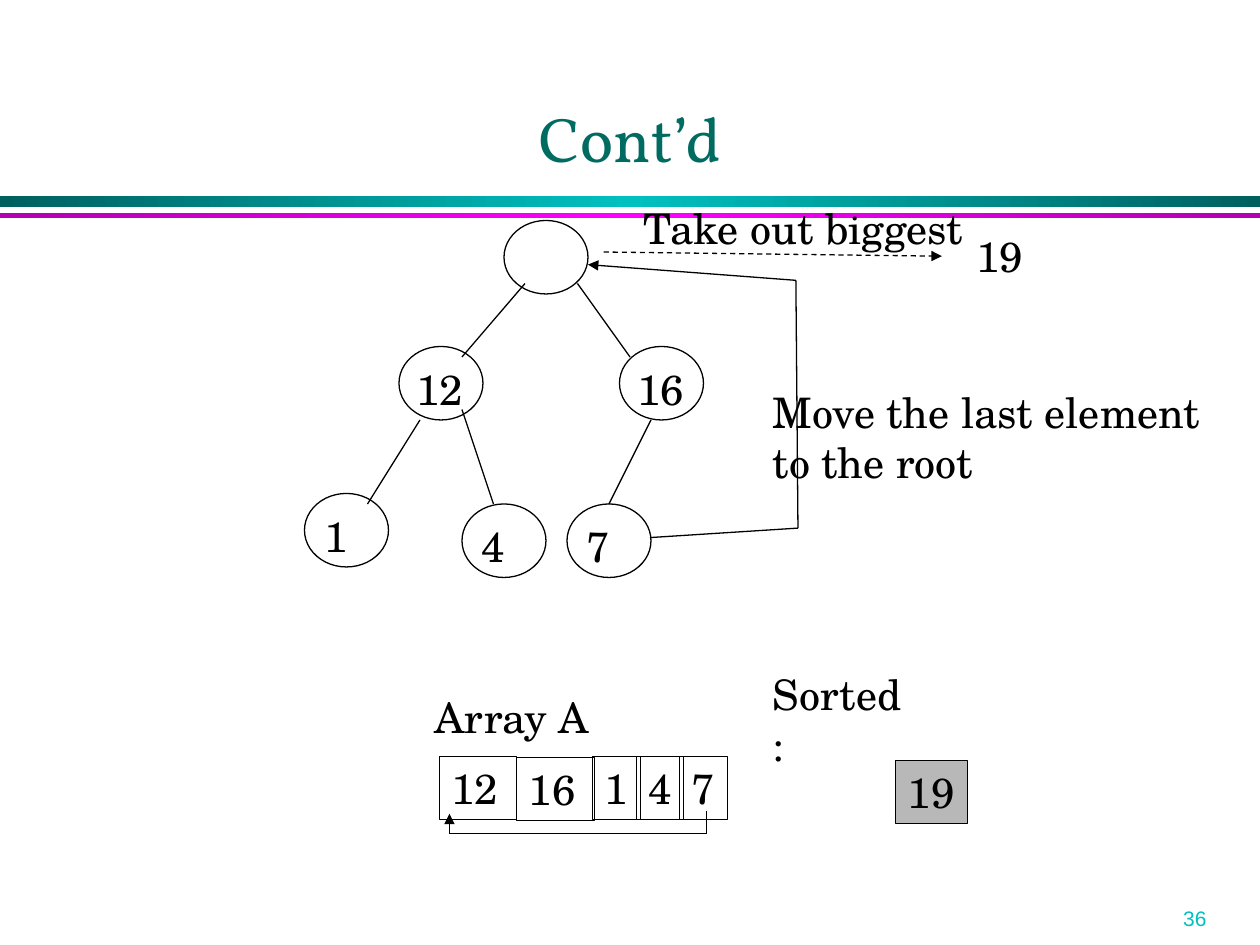
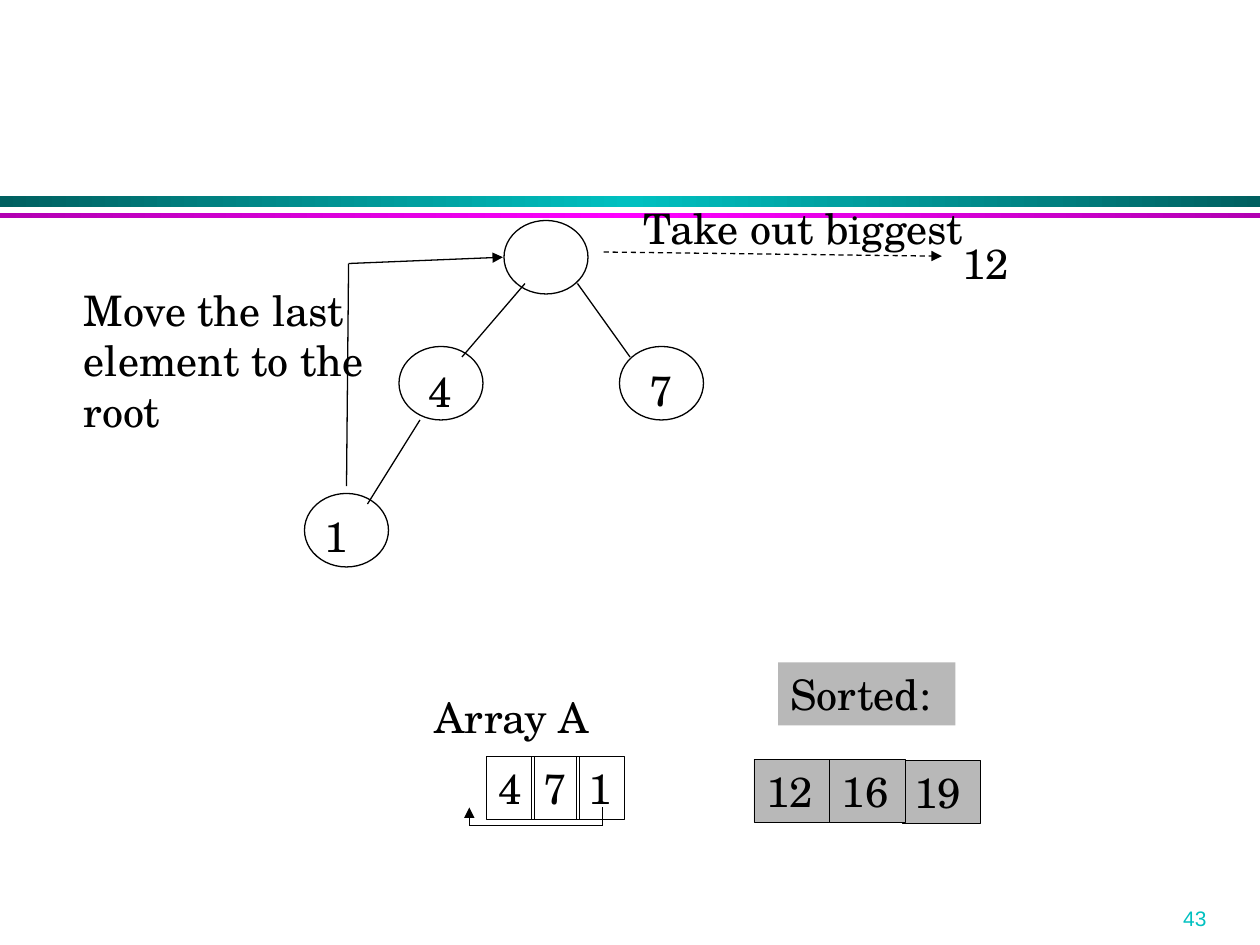
from copy import deepcopy

from pptx import Presentation
from pptx.dml.color import RGBColor
from pptx.enum.dml import MSO_LINE
from pptx.enum.shapes import MSO_CONNECTOR, MSO_SHAPE
from pptx.enum.text import MSO_ANCHOR, PP_ALIGN
from pptx.oxml.ns import qn
from pptx.util import Inches, Pt

COLUMNS, ROWS = 120, 90
UNIT = Inches(10) / COLUMNS
BLACK, GREY, TEAL, TITLE_GREEN = "000000", "B8B8B8", "00C0C0", "006B61"
BODY_FONT, TITLE_FONT, NUMBER_FONT = "TeX Gyre Schola", "Vollkorn", "Arial"
NODE_WIDTH, NODE_HEIGHT = 8, 7
TEXT_HEIGHT = 6
DIGIT_WIDTHS = {1: 4.56, 2: 6.84}
DIGIT_OFFSETS = {1: (0.7, 1), 2: (0.5, 1)}


def color(hex_string):
    return RGBColor.from_string(hex_string)


def grid(*lengths):
    """Turn grid columns or rows into slide lengths."""
    return [round(length * UNIT) for length in lengths]


class HeapDeck:
    """Holds the presentation, its style and the slide being drawn."""

    def __init__(self):
        self.deck = Presentation()
        self.deck.slide_width, self.deck.slide_height = grid(COLUMNS, ROWS)
        self.page = None

    def new_page(self, number):
        self.page = self.deck.slides.add_slide(self.deck.slide_layouts[6])
        self.band(18.7, 1, "006060", TEAL)
        self.band(20.3, 0.5, "B200B2", "FF00FF")
        self.text(number, 111.5, 85.7, 11.5, 3.6, wrap=True,
                  font=NUMBER_FONT, size=12, ink=TEAL)

    def shape(self, kind, left, top, width, height, fill=None, line_width=None):
        shape = self.page.shapes.add_shape(kind, *grid(left, top, width, height))
        shape.shadow.inherit = False
        if fill:
            shape.fill.solid()
            shape.fill.fore_color.rgb = color(fill)
        else:
            shape.fill.background()
        if line_width:
            shape.line.color.rgb = color(BLACK)
            shape.line.width = Pt(line_width)
        else:
            shape.line.fill.background()
        return shape

    def band(self, top, height, edge, middle):
        """Draw a full-width bar that is brightest in the middle."""
        bar = self.shape(MSO_SHAPE.RECTANGLE, 0, top, COLUMNS, height)
        bar.fill.gradient()
        bar.fill.gradient_angle = 0
        first = bar._element.spPr.find(".//" + qn("a:gs"))
        first.addnext(deepcopy(first))
        stops = zip(bar.fill.gradient_stops, (0, 0.5, 1), (edge, middle, edge))
        for stop, position, shade in stops:
            stop.position = position
            stop.color.rgb = color(shade)

    def fill_text(self, box, text, wrap=False, font=BODY_FONT, size=24,
                  ink=BLACK, align=PP_ALIGN.LEFT, anchor=MSO_ANCHOR.TOP):
        frame = box.text_frame
        frame.text = text
        frame.word_wrap = wrap
        frame.vertical_anchor = anchor
        for para in frame.paragraphs:
            para.alignment = align
            para.font.name = font
            para.font.size = Pt(size)
            para.font.color.rgb = color(ink)

    def text(self, text, left, top, width, height=TEXT_HEIGHT, **style):
        box = self.page.shapes.add_textbox(*grid(left, top, width, height))
        self.fill_text(box, text, **style)

    def title(self, text):
        self.text(text, 9, 2.3, 102, 15, wrap=True, font=TITLE_FONT, size=36,
                  ink=TITLE_GREEN, align=PP_ALIGN.CENTER,
                  anchor=MSO_ANCHOR.BOTTOM)

    def number(self, value, left, top):
        self.text(value, left, top, DIGIT_WIDTHS[len(value)])

    def node(self, left, top, value="", offset=None):
        self.shape(MSO_SHAPE.OVAL, left, top, NODE_WIDTH, NODE_HEIGHT,
                   line_width=0.75)
        if value:
            right, down = offset or DIGIT_OFFSETS[len(value)]
            self.number(value, left + right, top + down)

    def cell(self, value, left, top, width=None, fill=None, line_width=0.25):
        """Draw a box of an array; one with a given width wraps its text."""
        box = self.shape(MSO_SHAPE.RECTANGLE, left, top,
                         width or DIGIT_WIDTHS[len(value)], TEXT_HEIGHT,
                         fill, line_width)
        self.fill_text(box, value, wrap=width is not None)

    def line(self, start, end, arrow=False, dashed=False):
        line = self.page.shapes.add_connector(MSO_CONNECTOR.STRAIGHT,
                                              *grid(*start, *end))
        line.line.color.rgb = color(BLACK)
        line.line.width = Pt(0.75)
        if dashed:
            line.line.dash_style = MSO_LINE.DASH
        properties = line._element.spPr
        if arrow:
            outline = properties.find(qn("a:ln"))
            head = outline.makeelement(qn("a:tailEnd"), {"type": "triangle"})
            outline.append(head)
        properties.append(properties.makeelement(qn("a:effectLst"), {}))

    def route(self, *points):
        """Join the points with lines, the last one ending in an arrowhead."""
        for start, end in zip(points, points[1:]):
            self.line(start, end, arrow=end == points[-1])

    def heap_top(self, left_child, right_child, offsets=(None, None)):
        """Draw what both steps share: the top of the heap and its captions."""
        self.node(48, 21)
        self.node(38, 33, left_child, offsets[0])
        self.node(59, 33, right_child, offsets[1])
        self.node(29, 47, "1")
        self.line((50, 27), (44, 34))
        self.line((55, 27), (60, 34))
        self.line((40, 40), (35, 48))
        self.text("Array A", 40.2, 65.3, 17.2)
        self.text("Take out biggest", 60.1, 18.7, 33)
        self.line((57.5, 24), (89.7, 24.4), arrow=True, dashed=True)


def take_out_19(heap):
    heap.new_page("36")
    heap.title("Cont’d")
    heap.heap_top("12", "16")
    heap.node(44, 48, "4")
    heap.node(54, 48, "7")
    heap.line((44, 39), (47, 48))
    heap.line((62, 40), (58, 48))
    heap.number("19", 91.8, 21.4)
    heap.text("Move the last element\nto the root", 72.4, 36.2, 43.3, 10.8)
    heap.route((61.9, 51.2), (76, 50.3), (75.8, 26.7), (56, 25.2))

    heap.cell("12", 41.8, 72, width=7.4)
    heap.cell("16", 49.2, 72.1, width=7.4)
    for index, value in enumerate(("1", "4", "7")):
        heap.cell(value, 56.4 + 4.15 * index, 72)
    heap.route((67.3, 77.2), (67.3, 79.4), (42.8, 79.4), (42.8, 77.5))
    heap.text("Sorted:", 72.4, 63.1, 15.5, wrap=True)
    heap.cell("19", 85.3, 72.4, fill=GREY)


def take_out_12(heap):
    heap.new_page("43")
    heap.heap_top("4", "7", offsets=((1.6, 1.2), (1.7, 1.1)))
    heap.number("12", 90.5, 22)
    heap.text("Move the last\nelement to the\nroot", 6.8, 26.5, 30.1, 15.6,
              wrap=True)
    heap.route((33, 46.3), (33.2, 25.1), (47.9, 24.5))

    for index, value in enumerate(("4", "7", "1")):
        heap.cell(value, 46.3 + 4.28 * index, 72)
    heap.route((57.4, 76.9), (57.4, 78.6), (44.7, 78.6), (44.7, 76.9))
    heap.cell("Sorted:", 74.1, 63.1, width=16.9, fill=GREY, line_width=None)
    heap.cell("19", 85.9, 72.4, width=7.5, fill=GREY)
    for index, value in enumerate(("12", "16")):
        heap.cell(value, 71.8 + 7.2 * index, 72.3, width=7.2, fill=GREY)


def main():
    heap = HeapDeck()
    take_out_19(heap)
    take_out_12(heap)
    heap.deck.save("out.pptx")


if __name__ == "__main__":
    main()
